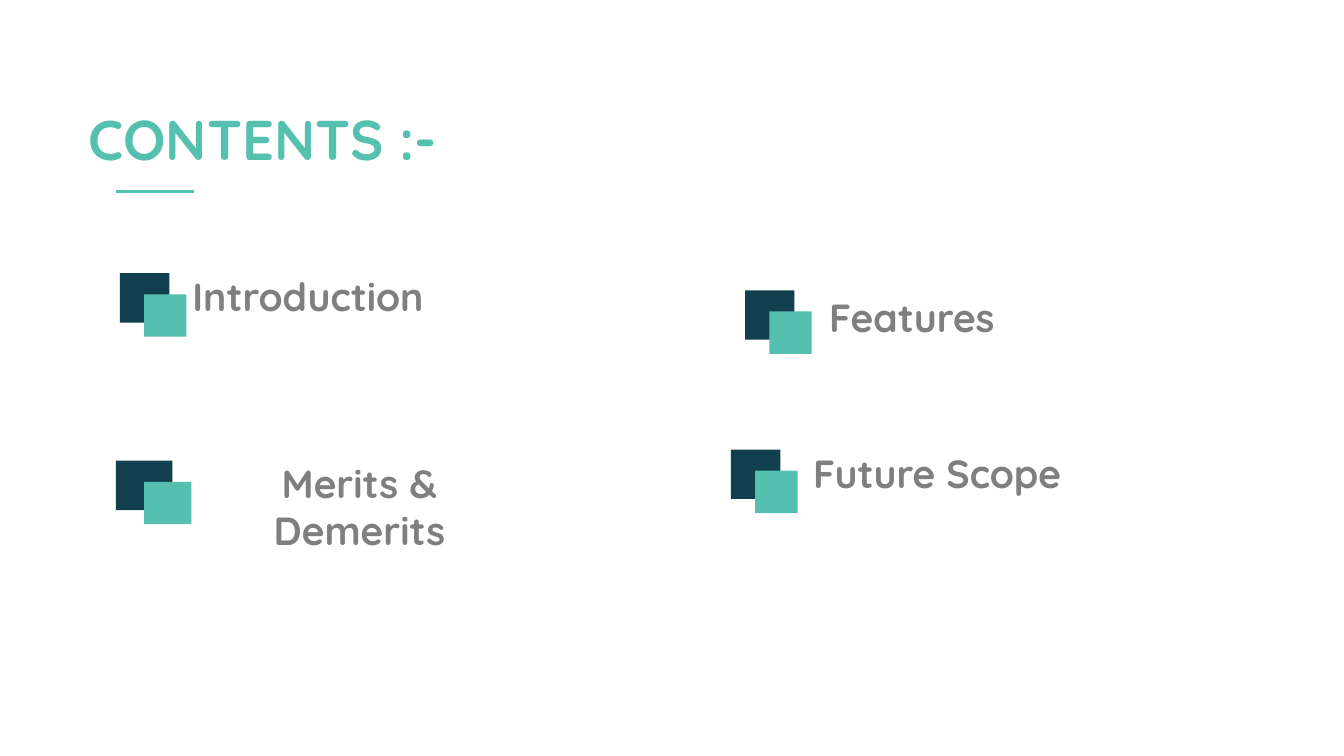
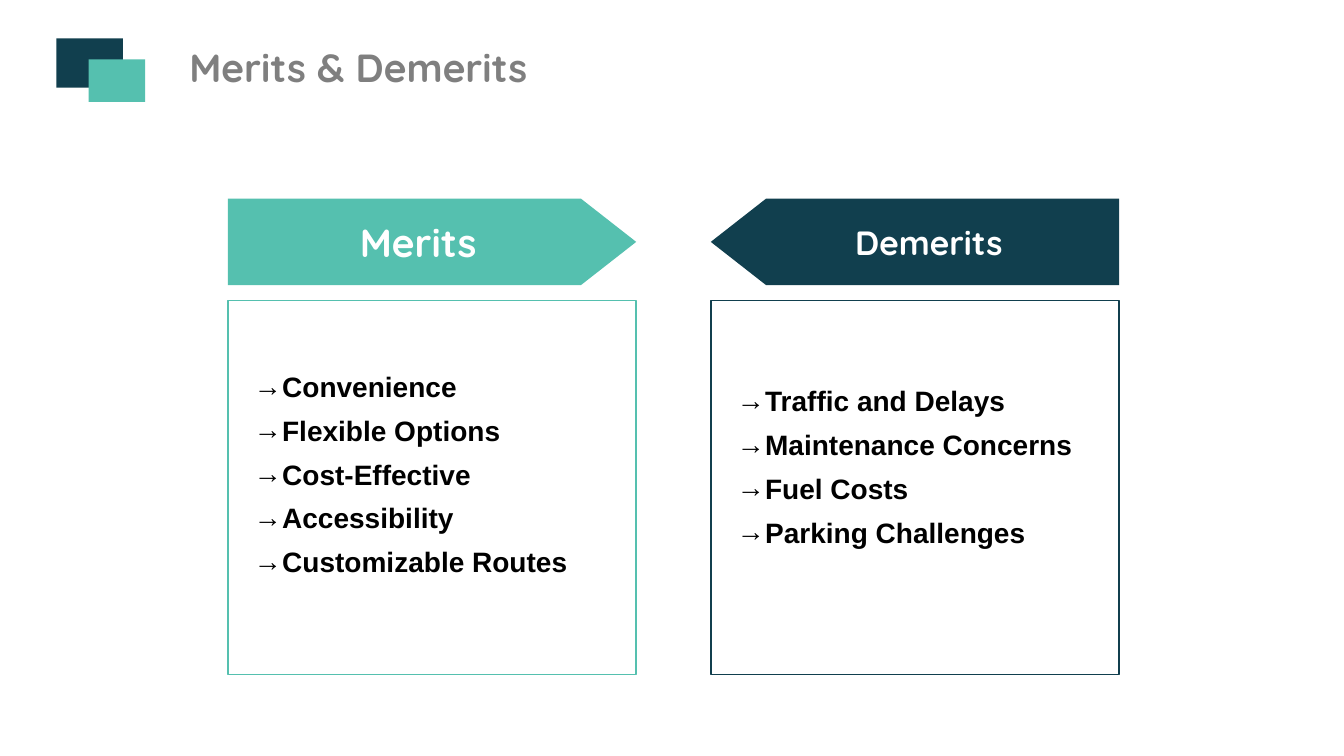
from dataclasses import dataclass

import lxml.etree
import pptx
import pptx.dml.color
import pptx.enum.shapes
import pptx.enum.text
import pptx.oxml.ns
import pptx.util

Inches = pptx.util.Inches
Pt = pptx.util.Pt
Shapes = pptx.enum.shapes.MSO_SHAPE
Align = pptx.enum.text.PP_ALIGN
Anchor = pptx.enum.text.MSO_ANCHOR
qn = pptx.oxml.ns.qn


@dataclass(frozen=True)
class Theme:
    teal: str = "55C0AF"
    navy: str = "113F4E"
    gray: str = "7F7F7F"
    white: str = "FFFFFF"
    black: str = "000000"
    heading_font: str = "Quicksand"
    body_font: str = "Arial"
    title_size: int = 40
    heading_size: int = 28
    small_heading_size: int = 24
    body_size: int = 20
    body_spacing: float = 1.3
    bullet_indent: float = 0.28


THEME = Theme()


def rgb(color):
    return pptx.dml.color.RGBColor.from_string(color)


def place(shape, box):
    shape.left, shape.top, shape.width, shape.height = map(Inches, box)


def write(paragraph, text, *, size=THEME.heading_size, color=THEME.gray,
          font=THEME.heading_font, align=Align.CENTER):
    paragraph.alignment = align
    run = paragraph.add_run()
    run.text = text
    run.font.name = font
    run.font.size = Pt(size)
    run.font.bold = True
    run.font.color.rgb = rgb(color)


def prepare_frame(shape, anchor=Anchor.TOP):
    frame = shape.text_frame
    frame.auto_size = pptx.enum.text.MSO_AUTO_SIZE.NONE
    frame.word_wrap = True
    frame.vertical_anchor = anchor
    frame.margin_left = frame.margin_right = Inches(0.1)
    frame.margin_top = frame.margin_bottom = Inches(0.05)
    return frame


def add_title_slide(presentation, text, box, **text_format):
    slide = presentation.slides.add_slide(presentation.slide_layouts[5])
    title = slide.shapes.title
    place(title, box)
    write(prepare_frame(title).paragraphs[0], text, **text_format)
    return slide


def add_label(slide, text, box):
    label = slide.shapes.add_textbox(*map(Inches, box))
    write(prepare_frame(label).paragraphs[0], text)


def add_block(shapes, kind, box, fill=None, outline=None):
    block = shapes.add_shape(kind, *map(Inches, box))
    block.shadow.inherit = False
    if fill:
        block.fill.solid()
        block.fill.fore_color.rgb = rgb(fill)
    else:
        block.fill.background()
    if outline:
        block.line.color.rgb = rgb(outline)
        block.line.width = Pt(1)
    else:
        block.line.fill.background()
    return block


def add_marker(slide, left, top, back_width=0.49, offset=0.24, front_width=0.42):
    marker = slide.shapes.add_group_shape()
    add_block(marker.shapes, Shapes.RECTANGLE,
              (left, top, back_width, 0.49), fill=THEME.navy)
    add_block(marker.shapes, Shapes.RECTANGLE,
              (left + offset, top + 0.21, front_width, 0.42), fill=THEME.teal)


def add_rule(slide, left, top, width):
    rule = slide.shapes.add_connector(
        pptx.enum.shapes.MSO_CONNECTOR.STRAIGHT,
        *map(Inches, (left, top, left + width, top)))
    rule.line.color.rgb = rgb(THEME.teal)
    rule.line.width = Pt(2.25)
    lxml.etree.SubElement(rule._element.spPr, qn("a:effectLst"))


def set_arrow_bullet(paragraph):
    properties = paragraph._p.get_or_add_pPr()
    indent = Inches(THEME.bullet_indent)
    properties.set("marL", str(indent))
    properties.set("indent", str(-indent))
    bullet_color = lxml.etree.SubElement(properties, qn("a:buClr"))
    lxml.etree.SubElement(bullet_color, qn("a:srgbClr")).set("val", THEME.black)
    lxml.etree.SubElement(properties, qn("a:buFont")).set("typeface", THEME.body_font)
    lxml.etree.SubElement(properties, qn("a:buChar")).set("char", "→")


def add_bullets(slide, items, box):
    frame = prepare_frame(slide.shapes.add_textbox(*map(Inches, box)))
    for index, item in enumerate(items):
        paragraph = frame.add_paragraph() if index else frame.paragraphs[0]
        write(paragraph, item, size=THEME.body_size, color=THEME.black,
              font=THEME.body_font, align=Align.LEFT)
        paragraph.line_spacing = THEME.body_spacing
        set_arrow_bullet(paragraph)


def add_panel(slide, heading, items, *, left, color, heading_size,
              list_top, list_height, flipped=False):
    add_block(slide.shapes, Shapes.RECTANGLE, (left, 2.98, 4.05, 3.71), outline=color)
    banner = add_block(slide.shapes, Shapes.PENTAGON, (left, 1.97, 4.05, 0.86), fill=color)
    banner.adjustments[0] = 0.639
    if flipped:
        banner._element.spPr.find(qn("a:xfrm")).set("flipH", "1")
    write(prepare_frame(banner, Anchor.MIDDLE).paragraphs[0], heading,
          size=heading_size, color=THEME.white)
    add_bullets(slide, items, (left + 0.16, list_top, 3.89, list_height))


def build_contents(presentation):
    slide = add_title_slide(presentation, "CONTENTS :-", (0.64, 0.99, 3.93, 0.77),
                            size=THEME.title_size, color=THEME.teal)
    add_rule(slide, 1.15, 1.9, 0.77)
    add_marker(slide, 1.19, 2.71)
    add_marker(slide, 7.39, 2.88)
    add_marker(slide, 1.15, 4.57, back_width=0.56, offset=0.28, front_width=0.47)
    add_marker(slide, 7.25, 4.46)
    for text, box in (
        ("Introduction", (1.62, 2.65, 2.87, 0.57)),
        ("Features", (7.43, 2.86, 3.23, 0.57)),
        ("Merits & Demerits", (1.83, 4.51, 3.47, 0.57)),
        ("Future Scope", (7.18, 4.41, 4.23, 0.57)),
    ):
        add_label(slide, text, box)


def build_merits(presentation):
    slide = add_title_slide(presentation, "Merits & Demerits", (1.75, 0.38, 3.61, 0.57))
    add_marker(slide, 0.56, 0.38, back_width=0.66, offset=0.32, front_width=0.56)
    add_panel(slide, "Merits",
              ("Convenience", "Flexible Options", "Cost-Effective",
               "Accessibility", "Customizable Routes"),
              left=2.26, color=THEME.teal, heading_size=THEME.heading_size,
              list_top=3.52, list_height=3.26)
    add_panel(slide, "Demerits",
              ("Traffic and Delays", "Maintenance Concerns",
               "Fuel Costs", "Parking Challenges"),
              left=7.05, color=THEME.navy, heading_size=THEME.small_heading_size,
              list_top=3.66, list_height=2.25, flipped=True)


def main():
    presentation = pptx.Presentation()
    presentation.slide_width = Inches(13.33)
    presentation.slide_height = Inches(7.5)
    build_contents(presentation)
    build_merits(presentation)
    presentation.save("out.pptx")


if __name__ == "__main__":
    main()
